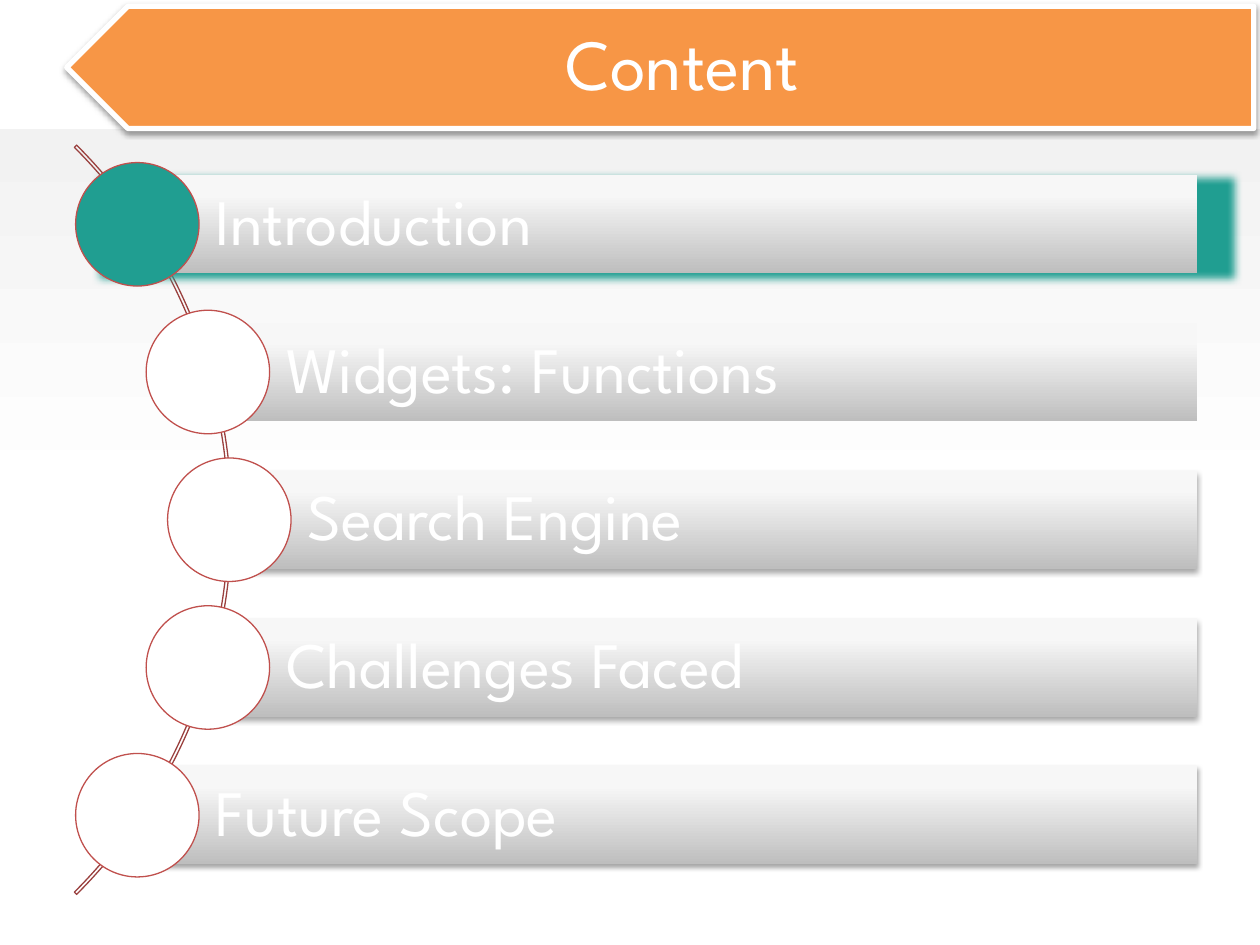
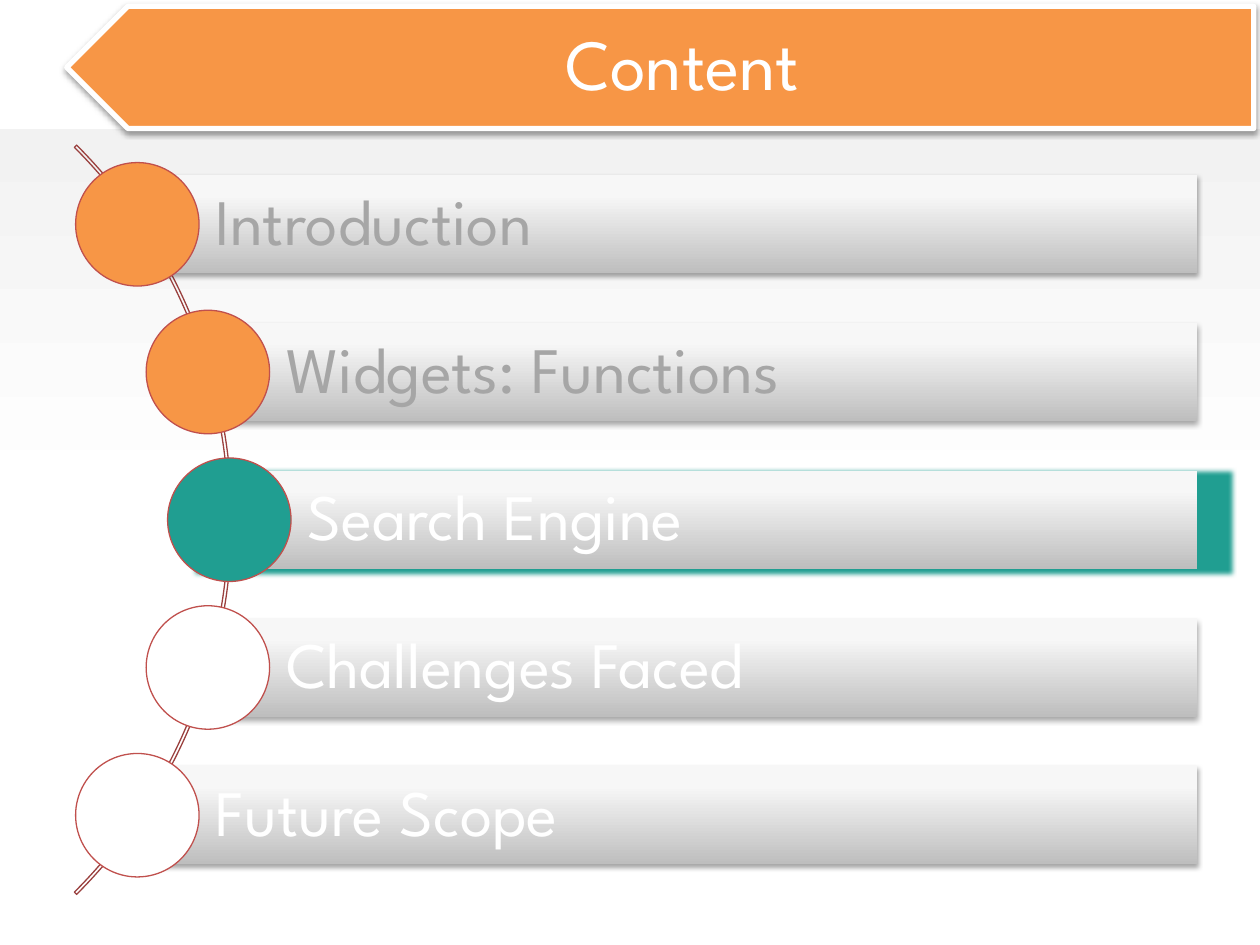
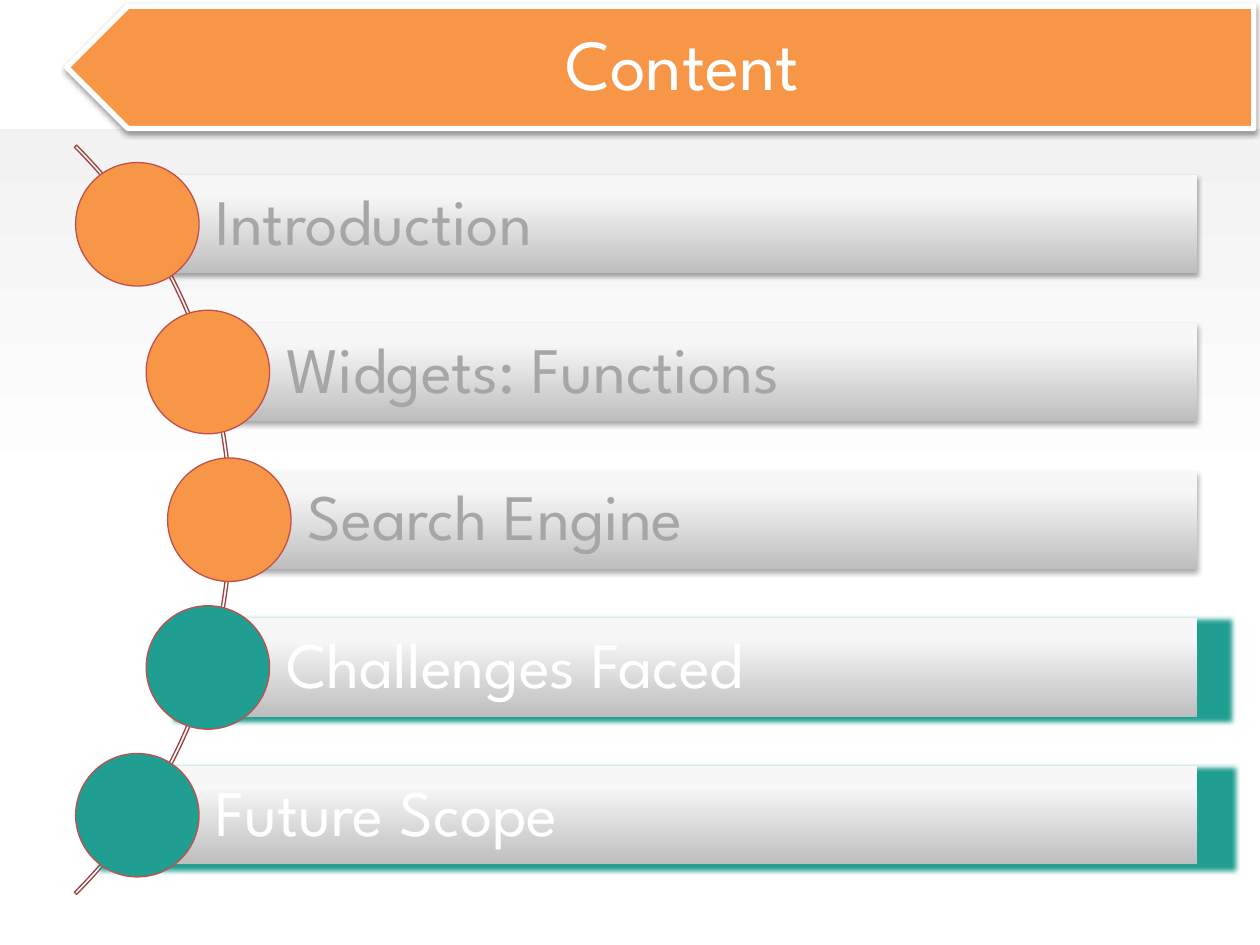
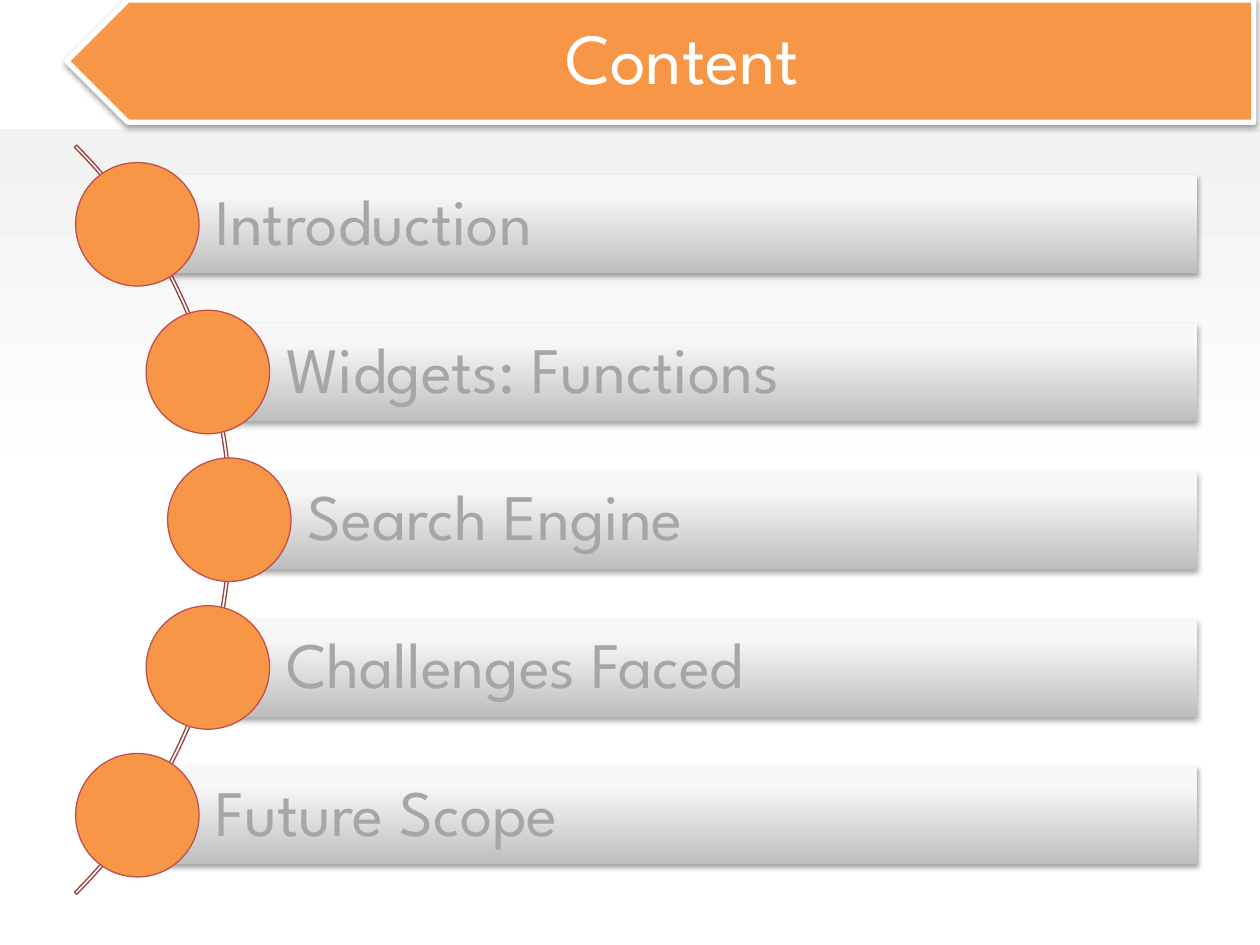
from dataclasses import dataclass

from pptx import Presentation
from pptx.dml.color import RGBColor
from pptx.enum.shapes import MSO_SHAPE
from pptx.enum.text import MSO_ANCHOR, PP_ALIGN
from pptx.oxml import parse_xml
from pptx.oxml.ns import nsdecls, qn
from pptx.util import Inches, Pt

RECT, OVAL = MSO_SHAPE.RECTANGLE, MSO_SHAPE.OVAL
ARC, PENTAGON = MSO_SHAPE.BLOCK_ARC, MSO_SHAPE.PENTAGON
MIDDLE = MSO_ANCHOR.MIDDLE
LEFT, CENTER = PP_ALIGN.LEFT, PP_ALIGN.CENTER


@dataclass(frozen=True)
class Theme:
    font: str = "League Spartan"
    title_size: float = 41
    topic_size: float = 37
    white: str = "FFFFFF"
    orange: str = "F79646"
    teal: str = "209E91"
    grey: str = "A6A6A6"
    ring: str = "C0504D"
    arc: str = "9A403E"
    black: str = "000000"
    backdrop: tuple = ((0, "F2F2F2"), (100, "FFFFFF"))
    bar: tuple = ((0, "BEBEBE"), (80, "F7F7F7"), (100, "F8F8F8"))


THEME = Theme()

TOPICS = ["Introduction", "Widgets: Functions", "Search Engine",
          "Challenges Faced", "Future Scope"]

# Topic states: (marker colour, text colour)
DONE = (THEME.orange, THEME.grey)
CURRENT = (THEME.teal, THEME.white)
AHEAD = (THEME.white, THEME.white)

# Bar shadows: colour, opacity %, blur in points, width %, height %
SOFT = (THEME.black, 35, 3.1, 100, 100)
GLOW = (THEME.teal, 100, 3.1, 107, 103)
WIDE_GLOW = (THEME.teal, 100, 5, 107, 103)
TITLE_SHADOW = (THEME.black, 38, 3.1, 100, 100)

# One entry per slide: title top, then a state and a bar shadow per topic
AGENDAS = [
    (0.05, [(CURRENT, WIDE_GLOW), (AHEAD, None)] + [(AHEAD, SOFT)] * 3),
    (0.05, [(DONE, SOFT)] * 2 + [(CURRENT, GLOW)] + [(AHEAD, SOFT)] * 2),
    (0.05, [(DONE, SOFT)] * 3 + [(CURRENT, GLOW)] * 2),
    (0, [(DONE, SOFT)] * 5),
]

# Agenda geometry in inches
AGENDA_BOX = (0.6, 1.29, 8.9)           # left, top, width
MARKER_SHIFTS = [0, 0.56, 0.73, 0.56, 0]
MARKER_SIZE = 0.98
BAR_HEIGHT = 0.78
ROW_PITCH = 4.69 / 4
ARC_SIZE = 8.41


def add_shape(slide, kind, box, fill=None, line=None, line_width=0.75):
    shape = slide.shapes.add_shape(kind, *map(Inches, box))
    shape.shadow.inherit = False
    if fill:
        shape.fill.solid()
        shape.fill.fore_color.rgb = RGBColor.from_string(fill)
    else:
        shape.fill.background()
    if line:
        shape.line.color.rgb = RGBColor.from_string(line)
        shape.line.width = Pt(line_width)
    else:
        shape.line.fill.background()
    return shape


def set_gradient(shape, stops, angle):
    shape.fill.gradient()
    shape.fill.gradient_angle = angle
    stop_list = shape.element.spPr.find(".//" + qn("a:gsLst"))
    for stop in list(stop_list):
        stop_list.remove(stop)
    for position, color in stops:
        stop_list.append(parse_xml(
            f'<a:gs {nsdecls("a")} pos="{position * 1000}">'
            f'<a:srgbClr val="{color}"/></a:gs>'))


def set_shadow(shape, shadow, distance=1.8):
    color, opacity, blur, width, height = shadow
    effects = shape.element.spPr.find(qn("a:effectLst"))
    effects.append(parse_xml(
        f'<a:outerShdw {nsdecls("a")} blurRad="{Pt(blur)}" dist="{Pt(distance)}" '
        f'dir="5400000" sx="{width * 1000}" sy="{height * 1000}" algn="ctr" '
        f'rotWithShape="0"><a:srgbClr val="{color}">'
        f'<a:alpha val="{opacity * 1000}"/></a:srgbClr></a:outerShdw>'))


def add_caption(slide, box, text, size, color, insets, align=LEFT):
    frame = slide.shapes.add_textbox(*map(Inches, box)).text_frame
    frame.word_wrap = True
    frame.vertical_anchor = MIDDLE
    (frame.margin_left, frame.margin_top,
     frame.margin_right, frame.margin_bottom) = map(Inches, insets)
    paragraph = frame.paragraphs[0]
    paragraph.text = text
    paragraph.alignment = align
    paragraph.line_spacing = 0.9
    paragraph.font.name = THEME.font
    paragraph.font.size = Pt(size)
    paragraph.font.color.rgb = RGBColor.from_string(color)


def move_backdrop_to_layout(slide):
    """Draw the shared grey fade and hand it to the layout."""
    backdrop = add_shape(slide, RECT, (0, 1.02, 10, 2.98), THEME.white)
    set_gradient(backdrop, THEME.backdrop, 270)
    slide.slide_layout.shapes.element.insert(2, backdrop.element)


def add_title(slide, left, top, width, height):
    banner = add_shape(slide, PENTAGON, (left, top, width, height),
                       THEME.orange, THEME.white, 3)
    banner.rotation = 180
    set_shadow(banner, TITLE_SHADOW, 1.6)
    tip = height / 4
    add_caption(slide, (left + tip, top, width - tip, height), "Content",
                THEME.title_size, THEME.white, (0.43, 0.17, 0.32, 0.17), CENTER)


def add_topic(slide, left, top, right, topic, state, shadow):
    marker_color, text_color = state
    bar_left = left + MARKER_SIZE / 2
    bar_box = (bar_left, top + (MARKER_SIZE - BAR_HEIGHT) / 2,
               right - bar_left, BAR_HEIGHT)
    bar = add_shape(slide, RECT, bar_box)
    set_gradient(bar, THEME.bar, 90)
    if shadow:
        set_shadow(bar, shadow)
    add_caption(slide, bar_box, topic, THEME.topic_size, text_color,
                (0.62, 0.1, 0.1, 0.1))
    add_shape(slide, OVAL, (left, top, MARKER_SIZE, MARKER_SIZE),
              marker_color, THEME.ring)


def add_agenda(slide, left, top, width, rows):
    # Arc running behind the markers, centred on the middle row
    middle = top + 2 * ROW_PITCH + MARKER_SIZE / 2
    arc = add_shape(slide, ARC, (left - 7.17, middle - ARC_SIZE / 2,
                                 ARC_SIZE, ARC_SIZE), line=THEME.arc)
    for index, value in enumerate((189, 27, 0.003)):
        arc.adjustments[index] = value
    # Topic rows
    for index, (topic, shift, (state, shadow)) in enumerate(
            zip(TOPICS, MARKER_SHIFTS, rows)):
        add_topic(slide, left + shift, top + index * ROW_PITCH, left + width,
                  topic, state, shadow)


def main():
    deck = Presentation()
    deck.slide_width, deck.slide_height = Inches(10), Inches(7.5)
    blank = deck.slide_layouts[6]
    for number, (title_top, rows) in enumerate(AGENDAS):
        slide = deck.slides.add_slide(blank)
        if number == 0:
            move_backdrop_to_layout(slide)
        add_agenda(slide, *AGENDA_BOX, rows)
        add_title(slide, 0.53, title_top, 9.42, 0.97)
    deck.save("out.pptx")


if __name__ == "__main__":
    main()
